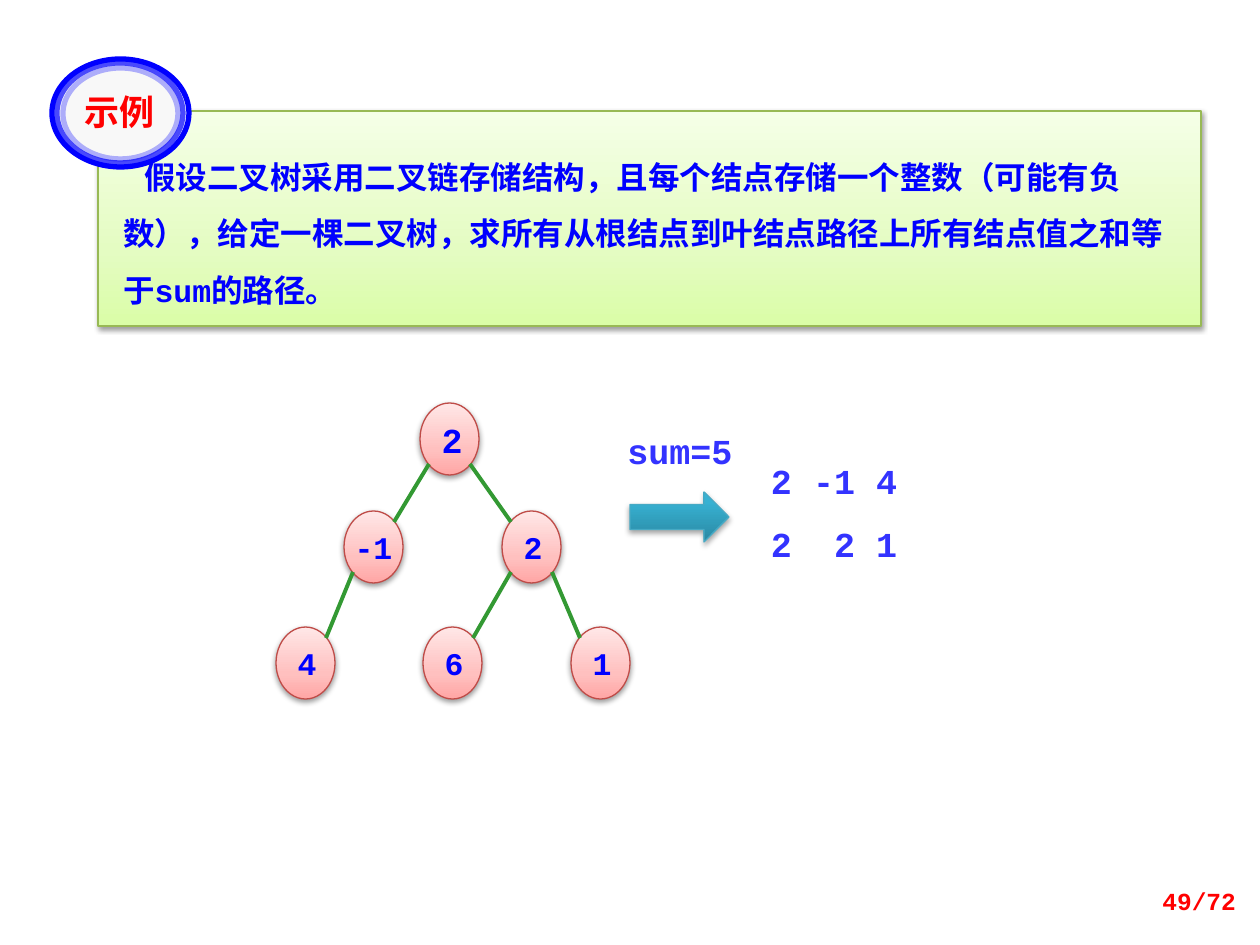
from lxml import etree
from pptx import Presentation
from pptx.dml.color import RGBColor
from pptx.enum.shapes import MSO_CONNECTOR as Connector, MSO_SHAPE as Shape
from pptx.enum.text import MSO_ANCHOR as Anchor, PP_ALIGN as Align
from pptx.oxml.ns import qn
from pptx.util import Emu, Pt

PX_PER_INCH = 126
LATIN, CJK = "Courier New", "Noto Sans CJK JP"
BLUE, VIOLET, RED, GREEN = "0000FF", "3333FF", "FF0000", "339933"
LIME_FILL = [(0, "DAFDA7"), (35, "E4FCC2"), (100, "F5FFE7")]
PINK_FILL = [(0, "FFA6A5"), (35, "FFC0BF"), (100, "FFE7E7")]
TEAL_FILL = [(0, "2A88A2"), (80, "37B1D2"), (100, "34B4D6")]


def px(value):
    return Emu(round(value * 914400 / PX_PER_INCH))


def rgb(value):
    return RGBColor.from_string(value)


def add_node(parent, tag, **attributes):
    node = etree.SubElement(parent, qn(tag))
    for key, value in attributes.items():
        node.set(key, str(value))
    return node


def add_color(parent, color, opacity=100):
    node = add_node(parent, "a:srgbClr", val=color)
    if opacity < 100:
        add_node(node, "a:alpha", val=opacity * 1000)


def write(shape, text, size=18, color=BLUE, font=LATIN, align=Align.CENTER,
          anchor=Anchor.MIDDLE, spacing=None, indent=0, insets=(13, 6)):
    frame = shape.text_frame
    frame.word_wrap = True
    frame.vertical_anchor = anchor
    frame.margin_left = frame.margin_right = px(insets[0])
    frame.margin_top = frame.margin_bottom = px(insets[1])
    for index, line in enumerate(text.split("\n")):
        paragraph = frame.add_paragraph() if index else frame.paragraphs[0]
        paragraph.alignment = align
        if spacing:
            paragraph.line_spacing = spacing
        if indent:
            paragraph._p.get_or_add_pPr().set("indent", str(px(indent)))
        run = paragraph.add_run()
        run.text = line
        run.font.name, run.font.size, run.font.bold = font, Pt(size), True
        run.font.color.rgb = rgb(color)
        add_node(run._r.get_or_add_rPr(), "a:ea", typeface=CJK)


class SlideBuilder:
    def __init__(self, slide):
        self.slide = slide
        self.shapes = slide.shapes

    def start_group(self):
        self.shapes = self.slide.shapes.add_group_shape().shapes

    def end_group(self):
        self.shapes = self.slide.shapes

    def outline(self, kind, box, color, width, opacity=100, fill=None):
        shape = self.shapes.add_shape(kind, *map(px, box))
        shape.shadow.inherit = False
        if fill:
            shape.fill.solid()
            shape.fill.fore_color.rgb = rgb(fill)
        else:
            shape.fill.background()
        shape.line.color.rgb = rgb(color)
        shape.line.width = Pt(width)
        if opacity < 100:
            line_color = shape.line._ln.find(".//" + qn("a:srgbClr"))
            add_node(line_color, "a:alpha", val=opacity * 1000)
        return shape

    def glossy(self, kind, box, stops, line, opacity=38, distance=20000):
        shape = self.outline(kind, box, line, 0.75)
        shape.fill.gradient()
        shape.fill.gradient_angle = 90
        properties = shape._element.spPr
        stop_list = properties.find(".//" + qn("a:gsLst"))
        for old_stop in list(stop_list):
            stop_list.remove(old_stop)
        for position, color in stops:
            add_color(add_node(stop_list, "a:gs", pos=position * 1000), color)
        shadow = add_node(properties.find(qn("a:effectLst")), "a:outerShdw",
                          blurRad=40000, dist=distance, dir=5400000,
                          rotWithShape=0)
        add_color(shadow, "000000", opacity)
        return shape

    def line(self, start, end, color, width):
        connector = self.shapes.add_connector(
            Connector.STRAIGHT, *map(px, (*start, *end)))
        connector.line.color.rgb = rgb(color)
        connector.line.width = Pt(width)
        add_node(connector._element.spPr, "a:effectLst")

    def text(self, box, text, **style):
        label = self.shapes.add_textbox(*map(px, box))
        write(label, text, **style)


def draw_tree(builder):
    width, height = 59, 72
    near, far = 0.146, 0.854  # diagonal points of an ellipse
    # key: label, left, top, size, side inset
    nodes = {
        "root": ("2", 420, 403, 20, 13),
        "left": ("-1", 344, 511, 18, 0),
        "right": ("2", 502, 511, 18, 13),
        "left leaf": ("4", 276, 627, 18, 13),
        "middle leaf": ("6", 423, 627, 18, 13),
        "right leaf": ("1", 571, 627, 18, 13),
    }
    edges = [("root", "left"), ("left", "left leaf"), ("root", "right"),
             ("right", "middle leaf"), ("right", "right leaf")]

    builder.start_group()
    for label, left, top, size, side in nodes.values():
        node = builder.glossy(Shape.OVAL, (left, top, width, height),
                              PINK_FILL, "BF4C48")
        write(node, label, size=size, insets=(side, 6))
    for parent, child in edges:
        parent_left, parent_top = nodes[parent][1:3]
        child_left, child_top = nodes[child][1:3]
        leave, arrive = (near, far) if child_left < parent_left else (far, near)
        builder.line(
            (round(parent_left + width * leave), round(parent_top + height * far)),
            (round(child_left + width * arrive), round(child_top + height * near)),
            GREEN, 2.25)
    builder.end_group()


def draw_badge(builder):
    builder.start_group()
    rings = [((52, 59, 137, 108), 100, "F8F8F8"),
             ((57, 63, 126, 100), 70, None),
             ((63, 68, 115, 91), 30, None)]
    for box, opacity, fill in rings:
        builder.outline(Shape.OVAL, box, BLUE, 3, opacity, fill)
    builder.text((59, 87, 121, 49), "示例", size=20, color=RED, font=CJK)
    builder.end_group()


def main():
    presentation = Presentation()
    presentation.slide_width, presentation.slide_height = px(1260), px(945)
    builder = SlideBuilder(
        presentation.slides.add_slide(presentation.slide_layouts[6]))

    # Problem statement
    problem = builder.glossy(Shape.RECTANGLE, (98, 111, 1103, 215),
                             LIME_FILL, "98B955")
    write(problem, "假设二叉树采用二叉链存储结构，且每个结点存储一个整数（可能有负数），"
          "给定一棵二叉树，求所有从根结点到叶结点路径上所有结点值之和等于sum的路径。",
          align=Align.LEFT, anchor=Anchor.TOP, spacing=Pt(32.3), indent=21,
          insets=(25, 28))

    # Binary tree
    draw_tree(builder)

    # Target sum and the paths found
    builder.text((601, 423, 158, 55), "sum=5", size=20, color=VIOLET,
                 anchor=Anchor.TOP)
    builder.text((758, 433, 207, 140), "2 -1 4\n2  2 1", size=20, color=VIOLET,
                 align=Align.LEFT, anchor=Anchor.TOP, spacing=1.5)
    builder.glossy(Shape.RIGHT_ARROW, (630, 492, 99, 50), TEAL_FILL, "46AAC5",
                   opacity=35, distance=23000)

    # Example badge
    draw_badge(builder)

    # Page number
    builder.text((955, 876, 294, 50), "49/72", size=14, color=RED,
                 align=Align.RIGHT)

    presentation.save("out.pptx")


if __name__ == "__main__":
    main()
